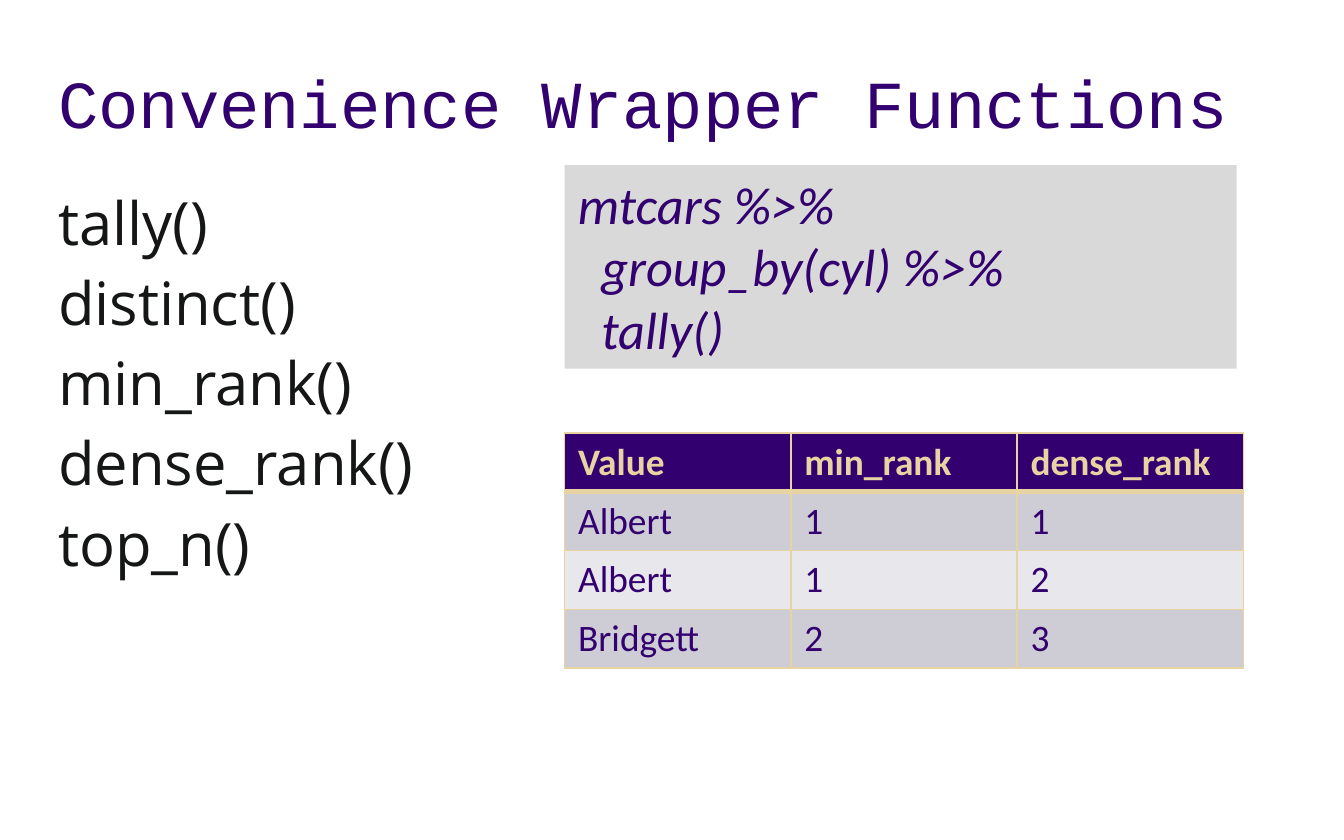
from lxml import etree
from pptx import Presentation
from pptx.dml.color import RGBColor
from pptx.enum import shapes, text
from pptx.oxml import ns
from pptx.util import Pt

PURPLE = RGBColor(0x33, 0x00, 0x6F)
GOLD = RGBColor(0xE8, 0xD3, 0xA2)
INK = RGBColor(0x15, 0x16, 0x16)
CODE_GREY = RGBColor(0xD9, 0xD9, 0xD9)
BANDS = RGBColor(0xCE, 0xCC, 0xD5), RGBColor(0xE8, 0xE7, 0xEB)

FUNCTIONS = ["tally()", "distinct()", "min_rank()", "dense_rank()", "top_n()"]
CODE = ["mtcars %>%", "group_by(cyl) %>%", "tally()"]
RANKS = [
    ["Value", "min_rank", "dense_rank"],
    ["Albert", "1", "1"],
    ["Albert", "1", "2"],
    ["Bridgett", "2", "3"],
]


class Deck:
    def __init__(self, width, height):
        self.deck = Presentation()
        self.deck.slide_width, self.deck.slide_height = Pt(width), Pt(height)
        self.slide = self.deck.slides.add_slide(self.deck.slide_layouts[6])

    def set_lines(self, frame, lines, font, size, color, bold=False, italic=False):
        frame.text = "\n".join(lines)
        for paragraph in frame.paragraphs:
            paragraph.alignment = text.PP_ALIGN.LEFT
            for run in paragraph.runs:
                run.font.name, run.font.size = font, Pt(size)
                run.font.bold, run.font.italic = bold, italic
                run.font.color.rgb = color

    def text_box(self, box, lines, font, size, color, spacing, before=0,
                 anchor=text.MSO_ANCHOR.TOP):
        frame = self.slide.shapes.add_textbox(*map(Pt, box)).text_frame
        frame.word_wrap = True
        frame.vertical_anchor = anchor
        self.set_lines(frame, lines, font, size, color)
        for paragraph in frame.paragraphs:
            paragraph.line_spacing = spacing
            paragraph.space_before = Pt(before)

    def code_box(self, box, lines, indent):
        """Draw a code panel; every line after the first is indented."""
        panel = self.slide.shapes.add_shape(
            shapes.MSO_SHAPE.RECTANGLE, *map(Pt, box))
        panel.shadow.inherit = False
        panel.fill.solid()
        panel.fill.fore_color.rgb = CODE_GREY
        panel.line.fill.background()
        frame = panel.text_frame
        frame.word_wrap = True
        frame.auto_size = text.MSO_AUTO_SIZE.SHAPE_TO_FIT_TEXT
        frame.vertical_anchor = text.MSO_ANCHOR.TOP
        self.set_lines(frame, lines, "Calibri", 28, PURPLE, italic=True)
        for paragraph in frame.paragraphs[1:]:
            properties = paragraph._p.get_or_add_pPr()
            properties.set("marL", str(Pt(indent)))
            properties.set("indent", "0")

    def border(self, cell, side, width):
        line = etree.SubElement(cell._tc.get_or_add_tcPr(),
                                ns.qn(f"a:ln{side}"), w=str(Pt(width)))
        fill = etree.SubElement(line, ns.qn("a:solidFill"))
        etree.SubElement(fill, ns.qn("a:srgbClr"), val=str(GOLD))

    def table(self, box, rows):
        table = self.slide.shapes.add_table(
            len(rows), len(rows[0]), *map(Pt, box)).table
        for r, row in enumerate(rows):
            header = r == 0
            for c, value in enumerate(row):
                cell = table.cell(r, c)
                self.set_lines(cell.text_frame, [value], "Calibri", 20,
                               GOLD if header else PURPLE, bold=header)
                # The schema wants borders ahead of the fill.
                for side in "LRTB":
                    at_header_rule = (r, side) in ((0, "B"), (1, "T"))
                    self.border(cell, side, 3 if at_header_rule else 1)
                cell.fill.solid()
                cell.fill.fore_color.rgb = PURPLE if header else BANDS[(r - 1) % 2]

    def save(self):
        self.deck.save("out.pptx")


def main():
    deck = Deck(720, 450)
    deck.text_box((24, 18, 674, 78), ["Convenience Wrapper Functions"],
                  "Courier New", 36, PURPLE, 0.9, anchor=text.MSO_ANCHOR.MIDDLE)
    deck.text_box((24, 96, 674, 298), FUNCTIONS, "Open Sans", 32, INK, 1.0, 4.5)
    deck.table((302.5, 232, 363.6, 126), RANKS)
    deck.code_box((302.5, 88.5, 360, 109), CODE, 12.6)
    deck.save()


if __name__ == "__main__":
    main()
